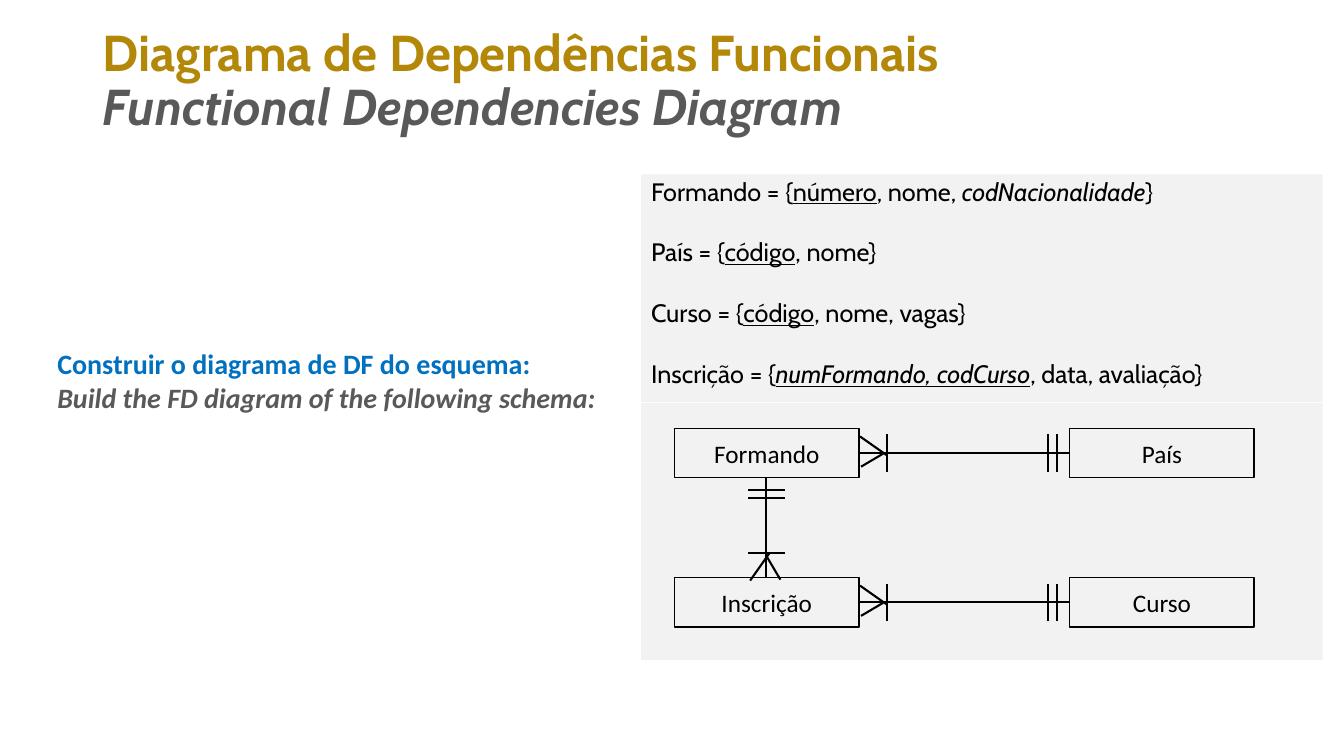
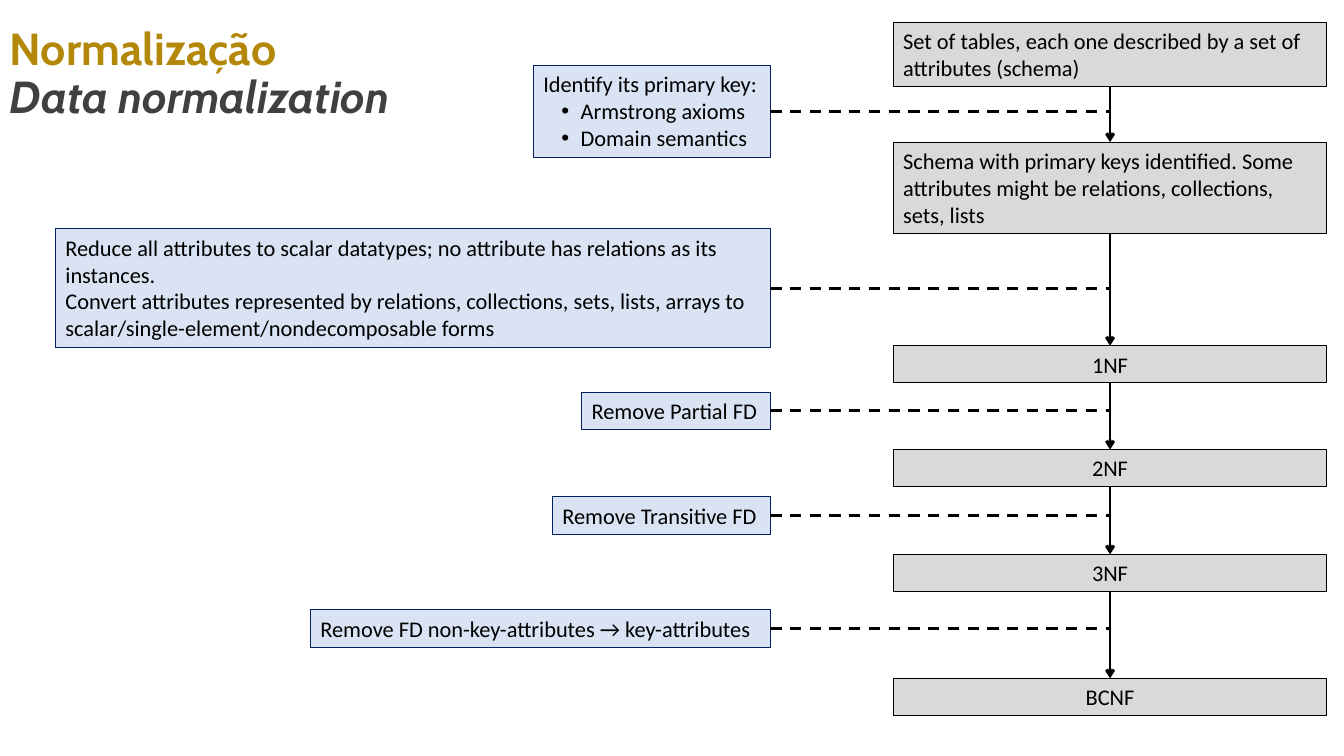
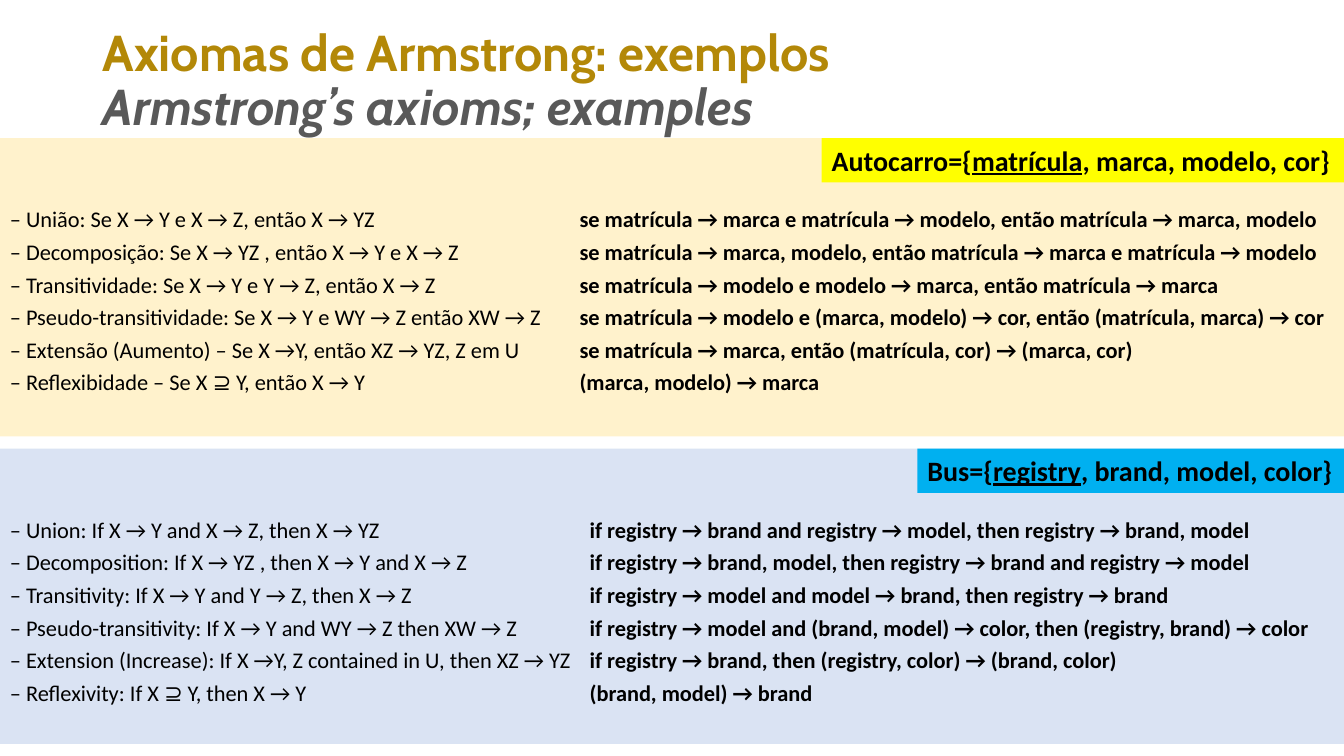
"""Build three slides on functional dependencies and data normalization."""
from lxml.etree import SubElement
from pptx import Presentation
from pptx.dml.color import RGBColor
from pptx.enum.dml import MSO_LINE_DASH_STYLE as Dash
from pptx.enum.shapes import MSO_CONNECTOR as Connector, MSO_SHAPE as Shape
from pptx.enum.text import MSO_ANCHOR as Anchor, PP_ALIGN as Align
from pptx.oxml.ns import qn
from pptx.util import Inches, Pt

COLORS = {
    "gold": "B38808", "gray": "595959", "dark": "404040", "blue": "0070C0",
    "black": "000000", "navy": "002060", "panel": "F2F2F2", "step": "D9D9D9",
    "pale_blue": "DAE3F3", "cream": "FFF2CC", "yellow": "FFFF00", "cyan": "00B0F0",
}
FLAGS = {"b": "bold", "i": "italic", "u": "underline"}

SCHEMA = [
    [("Formando = {", ""), ("número", "u"), (", nome, ", ""), ("codNacionalidade", "i"), ("}", "")],
    [("País = {", ""), ("código", "u"), (", nome}", "")],
    [("Curso = {", ""), ("código", "u"), (", nome, vagas}", "")],
    [("Inscrição = {", ""), ("numFormando, codCurso", "iu"), (", data, avaliação}", "")],
]
STEPS = [
    (0.22, 0.64, "Set of tables, each one described by a set of attributes (schema)"),
    (1.41, 0.91, "Schema with primary keys identified. Some attributes might be "
                 "relations, collections, sets, lists"),
    (3.43, 0.37, "1NF"),
    (4.46, 0.37, "2NF"),
    (5.5, 0.37, "3NF"),
    (6.73, 0.37, "BCNF"),
]
ACTIONS = [
    (0.65, 2.35, 0.91, ["Identify its primary key:", "Armstrong axioms", "Domain semantics"]),
    (2.27, 7.09, 1.18, [
        "Reduce all attributes to scalar datatypes; no attribute has relations as its instances.",
        "Convert attributes represented by relations, collections, sets, lists, arrays to "
        "scalar/single-element/nondecomposable forms"]),
    (3.89, 1.87, 0.37, ["Remove Partial FD"]),
    (4.93, 2.16, 0.37, ["Remove Transitive FD"]),
    (6.05, 4.56, 0.37, ["Remove FD non-key-attributes → key-attributes"]),
]
AXIOMS_PT = [
    ("– União: Se X → Y e X → Z, então X → YZ",
     "se matrícula → marca e matrícula → modelo, então matrícula → marca, modelo"),
    ("– Decomposição: Se X → YZ , então X → Y e X → Z",
     "se matrícula → marca, modelo, então matrícula → marca e matrícula → modelo"),
    ("– Transitividade: Se X → Y e Y → Z, então X → Z",
     "se matrícula → modelo e modelo → marca, então matrícula → marca"),
    ("– Pseudo-transitividade: Se X → Y e WY → Z então XW → Z",
     "se matrícula → modelo e (marca, modelo) → cor, então (matrícula, marca) → cor"),
    ("– Extensão (Aumento) – Se X →Y, então XZ → YZ, Z em U",
     "se matrícula → marca, então (matrícula, cor) → (marca, cor)"),
    ("– Reflexibidade – Se X ⊇ Y, então X → Y", "(marca, modelo) → marca"),
]
AXIOMS_EN = [
    ("– Union: If X → Y and X → Z, then X → YZ",
     "if registry → brand and registry → model, then registry → brand, model"),
    ("– Decomposition: If X → YZ , then X → Y and X → Z",
     "if registry → brand, model, then registry → brand and registry → model"),
    ("– Transitivity: If X → Y and Y → Z, then X → Z",
     "if registry → model and model → brand, then registry → brand"),
    ("– Pseudo-transitivity: If X → Y and WY → Z then XW → Z",
     "if registry → model and (brand, model) → color, then (registry, brand) → color"),
    ("– Extension (Increase): If X →Y, Z contained in U, then XZ → YZ",
     "if registry → brand, then (registry, color) → (brand, color)"),
    ("– Reflexivity: If X ⊇ Y, then X → Y", "(brand, model) → brand"),
]


def rgb(name):
    """Return the named colour."""
    return RGBColor.from_string(COLORS[name])


def set_attributes(target, values):
    """Set each attribute of the target from a dict."""
    for name, value in values.items():
        setattr(target, name, value)


def add_box(shapes, left, top, width, height, fill=None, line=None, weight=0.75):
    """Add a rectangle with an optional fill and outline."""
    box = shapes.add_shape(Shape.RECTANGLE, *map(Inches, (left, top, width, height)))
    box.shadow.inherit = False
    if fill:
        box.fill.solid()
        box.fill.fore_color.rgb = rgb(fill)
    else:
        box.fill.background()
    if line:
        box.line.color.rgb = rgb(line)
        box.line.width = Pt(weight)
    else:
        box.line.fill.background()
    return box


def write(shape, paragraphs, size, font="Calibri", colors=("black",), frame_format=None,
          paragraph_format=None):
    """Fill a shape with paragraphs of (text, flags) runs, colours cycling by paragraph."""
    frame = shape.text_frame
    set_attributes(frame, {"word_wrap": True, "vertical_anchor": Anchor.TOP, **(frame_format or {})})
    for index, runs in enumerate(paragraphs):
        paragraph = frame.add_paragraph() if index else frame.paragraphs[0]
        set_attributes(paragraph, {"alignment": Align.LEFT, **(paragraph_format or {})})
        for text, flags in runs:
            run = paragraph.add_run()
            run.text = text
            set_attributes(run.font, {"name": font, "size": Pt(size)})
            set_attributes(run.font, {name: flag in flags for flag, name in FLAGS.items()})
            run.font.color.rgb = rgb(colors[index % len(colors)])
    return frame.paragraphs


def add_title(slide, portuguese, english, left=0.92, top=0.09, width=11.5, size=36, second="gray"):
    """Add the two-language title."""
    box = slide.shapes.add_textbox(*map(Inches, (left, top, width, 1.45)))
    write(box, [[(portuguese, "b")], [(english, "bi")]], size, "Cabin", ("gold", second),
          {"vertical_anchor": Anchor.MIDDLE}, {"line_spacing": 0.9})


def add_line(shapes, start, end, weight=1.5):
    """Add a straight black line without a shadow."""
    line = shapes.add_connector(Connector.STRAIGHT, *map(Inches, (*start, *end)))
    line.line.color.rgb = rgb("black")
    line.line.width = Pt(weight)
    SubElement(line._element.spPr, qn("a:effectLst"))
    return line


def add_arrow(shapes, upper, lower):
    """Join two boxes with a downward arrow."""
    arrow = add_line(shapes, (0, 0), (1, 1), 2)
    arrow.begin_connect(upper, 2)
    arrow.end_connect(lower, 0)
    SubElement(arrow.line._get_or_add_ln(), qn("a:tailEnd"), type="arrow")


def add_bullet(paragraph):
    """Give a paragraph a hanging bullet."""
    properties = paragraph._p.get_or_add_pPr()
    properties.set("marL", str(Inches(0.37)))
    properties.set("indent", str(Inches(-0.19)))
    SubElement(properties, qn("a:buFont"), typeface="Arial")
    SubElement(properties, qn("a:buChar"), char="•")


def add_tab_stop(paragraph, position):
    """Add a left tab stop to a paragraph."""
    stops = SubElement(paragraph._p.get_or_add_pPr(), qn("a:tabLst"))
    SubElement(stops, qn("a:tab"), pos=str(Inches(position)), algn="l")


def add_many_to_one(shapes, y):
    """Draw a horizontal relationship with a crow's foot on the left."""
    add_line(shapes, (8.52, y), (10.61, y))
    for x in (8.8, 10.39, 10.48):
        add_line(shapes, (x, y - 0.18), (x, y + 0.19))
    add_line(shapes, (8.8, y + 0.03), (8.53, y - 0.16))
    add_line(shapes, (8.76, y + 0.01), (8.54, y + 0.14))


def add_one_to_many(shapes):
    """Draw the vertical relationship with a crow's foot at the bottom."""
    add_line(shapes, (7.6, 4.74), (7.6, 5.73))
    for y in (4.86, 4.94, 5.49):
        add_line(shapes, (7.42, y), (7.79, y))
    add_line(shapes, (7.63, 5.49), (7.44, 5.76))
    add_line(shapes, (7.61, 5.53), (7.74, 5.75))


def build_diagram(slide):
    """Build the entity diagram slide."""
    prompt = slide.shapes.add_textbox(*map(Inches, (0.47, 3.39, 5.57, 0.77)))
    write(prompt, [[("Construir o diagrama de DF do esquema:", "b")],
                   [("Build the FD diagram of the following schema:", "bi")]],
          20, colors=("blue", "gray"), frame_format={"word_wrap": False})
    diagram = slide.shapes.add_group_shape().shapes
    add_box(diagram, 6.36, 4, 6.76, 2.55, "panel")
    for top, names in ((4.25, ("Formando", "País")), (5.73, ("Inscrição", "Curso"))):
        for left, name in zip((6.69, 10.61), names):
            entity = add_box(diagram, left, top, 1.83, 0.49, line="black", weight=1)
            write(entity, [[(name, "")]], 18, frame_format={"vertical_anchor": Anchor.MIDDLE},
                  paragraph_format={"alignment": Align.CENTER})
        add_many_to_one(diagram, top + 0.24)
    add_one_to_many(diagram)
    schema = add_box(slide.shapes, 6.36, 1.73, 6.76, 2.26, "panel")
    write(schema, SCHEMA, 18, "Cabin",
          paragraph_format={"line_spacing": 0.9, "space_before": Pt(24)})
    add_title(slide, "Diagrama de Dependências Funcionais", "Functional Dependencies Diagram")


def build_normalization(slide):
    """Build the normalization flow slide."""
    add_title(slide, "Normalização", "Data normalization", 0, 0.02, 4.93, 32, "dark")
    shapes = slide.shapes
    steps = []
    for top, height, text in STEPS:
        step = add_box(shapes, 8.86, top, 4.3, height, "step", "black")
        alignment = Align.CENTER if text.endswith("NF") else Align.LEFT
        write(step, [[(text, "")]], 16, paragraph_format={"alignment": alignment})
        steps.append(step)
    for upper, lower in zip(steps, steps[1:]):
        add_arrow(shapes, upper, lower)
    edge = 7.64
    for top, width, height, texts in ACTIONS:
        action = add_box(shapes, edge - width, top, width, height, "pale_blue", "navy")
        paragraphs = write(action, [[(text, "")] for text in texts], 16,
                           frame_format={"word_wrap": len(texts) == 2})
        if len(texts) == 3:
            for paragraph in paragraphs[1:]:
                add_bullet(paragraph)
        middle = top + height / 2
        add_line(shapes, (edge, middle), (11.01, middle), 2).line.dash_style = Dash.DASH


def add_axioms(slide, top, height, fill, axioms, tab):
    """Add a band of axioms with their examples in a second column."""
    band = add_box(slide.shapes, 0, top, 13.33, height, fill)
    rows = [[(rule + "\t", ""), (example, "b")] for rule, example in axioms]
    paragraphs = write(band, rows, 16, frame_format={"margin_top": Inches(0.7)},
                       paragraph_format={"line_spacing": 0.9, "space_before": Pt(6)})
    for paragraph in paragraphs:
        add_tab_stop(paragraph, tab)


def add_tag(slide, top, width, fill, name, key, others):
    """Add a relation tag at the right edge."""
    tag = add_box(slide.shapes, 13.33 - width, top, width, 0.44, fill)
    write(tag, [[(name, "b"), (key, "bu"), (others, "b")]], 20, frame_format={"word_wrap": False})


def build_axioms(slide):
    """Build the axiom examples slide."""
    add_axioms(slide, 1.37, 2.96, "cream", AXIOMS_PT, 5.65)
    add_title(slide, "Axiomas de Armstrong: exemplos", "Armstrong’s axioms; examples")
    add_axioms(slide, 4.45, 2.93, "pale_blue", AXIOMS_EN, 5.75)
    add_tag(slide, 4.45, 4.23, "cyan", "Bus={", "registry", ", brand, model, color}")
    add_tag(slide, 1.37, 5.18, "yellow", "Autocarro={", "matrícula", ", marca, modelo, cor}")


def main():
    """Build and save the presentation."""
    presentation = Presentation()
    set_attributes(presentation, {"slide_width": Inches(13.33), "slide_height": Inches(7.5)})
    for build in (build_diagram, build_normalization, build_axioms):
        build(presentation.slides.add_slide(presentation.slide_layouts[6]))
    presentation.save("out.pptx")


if __name__ == "__main__":
    main()
